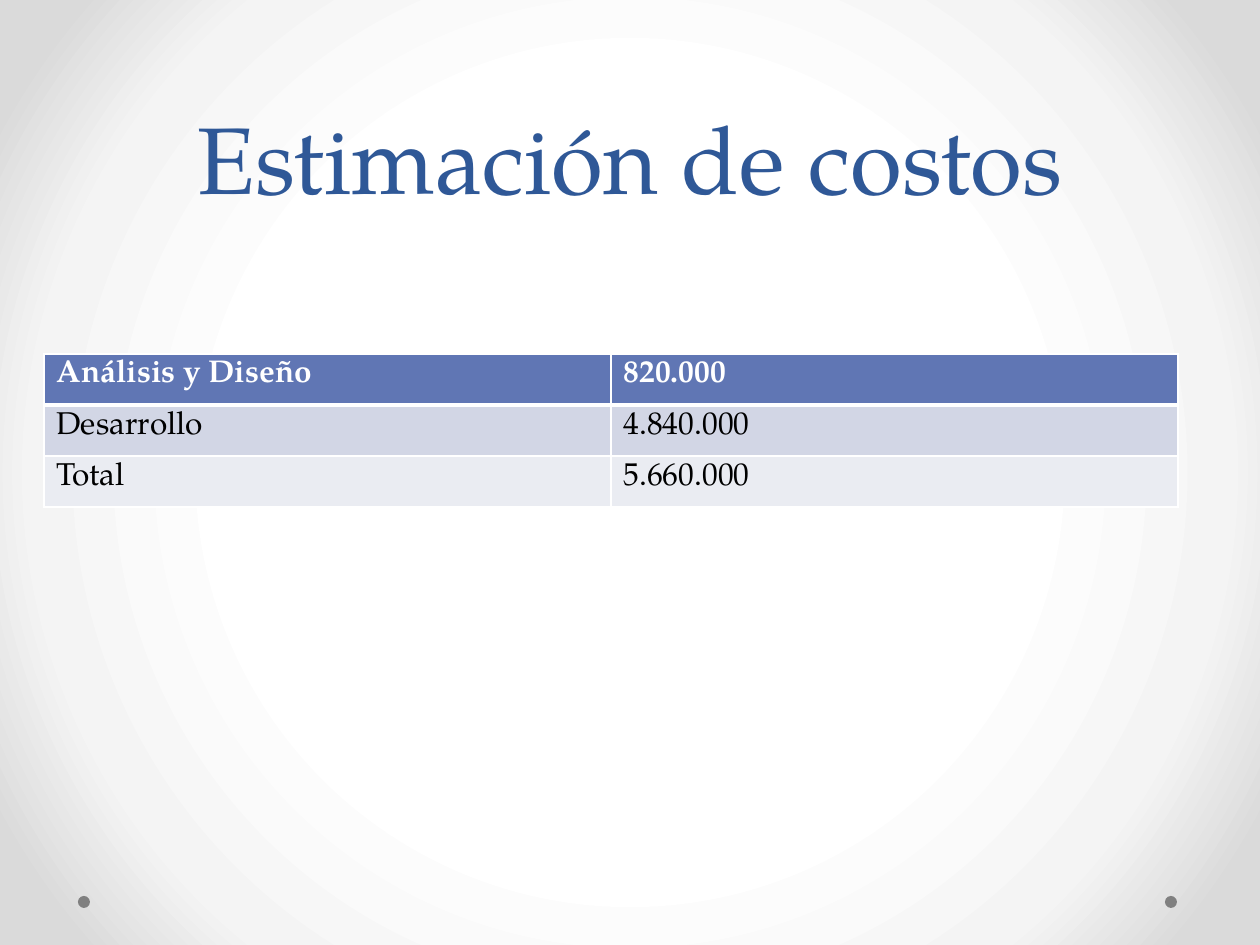
from dataclasses import dataclass

import lxml.etree
import pptx
import pptx.dml.color
import pptx.enum.shapes
import pptx.enum.text
import pptx.oxml.ns
import pptx.util

SCALE = 914400 / 126


@dataclass(frozen=True)
class Theme:
    font: str = "TeX Gyre Pagella"
    title: str = "2F5897"
    dot: str = "808080"
    rule: str = "FFFFFF"
    stops: tuple = ((50, "FFFFFF"), (76, "F4F4F4"), (92, "DADADA"))
    head: int = 54
    lead: int = 58
    body: int = 18


@dataclass(frozen=True)
class Box:
    left: int
    top: int
    width: int
    height: int


@dataclass(frozen=True)
class Row:
    texts: tuple
    fill: str
    ink: str = "000000"
    bold: bool = False
    under: int = 1


THEME = Theme()
SIZE = Box(0, 0, 1260, 945)
TITLE = Box(63, 0, 1134, 220)
GRID = Box(44, 354, 1134, 153)
DOTS = (Box(1165, 896, 12, 12), Box(78, 896, 12, 12))
ROWS = (
    Row(("Análisis y Diseño", "820.000"), "6076B4", "FFFFFF", True, 3),
    Row(("Desarrollo", "4.840.000"), "D2D6E5"),
    Row(("Total", "5.660.000"), "EAECF2"),
)


def emu(px: int) -> int:
    return round(px * SCALE)


def place(box: Box) -> tuple:
    return emu(box.left), emu(box.top), emu(box.width), emu(box.height)


def rgb(code: str) -> pptx.dml.color.RGBColor:
    return pptx.dml.color.RGBColor.from_string(code)


def sub(parent, tag: str, **attrs):
    return lxml.etree.SubElement(parent, pptx.oxml.ns.qn(tag), **attrs)


def write(para, text: str, size: int, ink: str, bold: bool = False) -> None:
    run = para.add_run()
    run.text = text
    run.font.name = THEME.font
    run.font.size = pptx.util.Pt(size)
    run.font.bold = bold
    run.font.color.rgb = rgb(ink)


def paint(slide) -> None:
    slide.background.fill.gradient()
    grad = next(slide.element.iter(pptx.oxml.ns.qn("a:gradFill")))
    for child in list(grad):
        grad.remove(child)
    stops = sub(grad, "a:gsLst")
    for pos, code in THEME.stops:
        stop = sub(stops, "a:gs", pos=str(pos * 1000))
        sub(stop, "a:srgbClr", val=code)
    focus = sub(grad, "a:path", path="circle")
    sub(focus, "a:fillToRect", l="50000", t="50000", r="50000", b="50000")


def add_dot(slide, box: Box) -> None:
    oval = pptx.enum.shapes.MSO_SHAPE.OVAL
    dot = slide.shapes.add_shape(oval, *place(box))
    dot.shadow.inherit = False
    dot.fill.solid()
    dot.fill.fore_color.rgb = rgb(THEME.dot)
    dot.line.fill.background()


def add_title(slide, text: str) -> None:
    title = slide.shapes.title
    title.left, title.top, title.width, title.height = place(TITLE)
    frame = title.text_frame
    frame.auto_size = pptx.enum.text.MSO_AUTO_SIZE.NONE
    frame.word_wrap = True
    frame.vertical_anchor = pptx.enum.text.MSO_ANCHOR.BOTTOM
    para = frame.paragraphs[0]
    para.alignment = pptx.enum.text.PP_ALIGN.CENTER
    para.line_spacing = pptx.util.Pt(THEME.lead)
    write(para, text, THEME.head, THEME.title)


def edge(cell, above: int, under: int) -> None:
    props = cell._tc.get_or_add_tcPr()
    for side, width in zip("LRTB", (1, 1, above, under)):
        line = sub(props, f"a:ln{side}", w=str(pptx.util.Pt(width)))
        sub(sub(line, "a:solidFill"), "a:srgbClr", val=THEME.rule)


def add_grid(slide, rows: tuple) -> None:
    count = len(rows[0].texts)
    frame = slide.shapes.add_table(len(rows), count, *place(GRID))
    above = 1
    for line, row in zip(frame.table.rows, rows):
        for cell, text in zip(line.cells, row.texts):
            edge(cell, above, row.under)
            cell.fill.solid()
            cell.fill.fore_color.rgb = rgb(row.fill)
            para = cell.text_frame.paragraphs[0]
            write(para, text, THEME.body, row.ink, row.bold)
        above = row.under


def main() -> None:
    deck = pptx.Presentation()
    deck.slide_width = emu(SIZE.width)
    deck.slide_height = emu(SIZE.height)
    slide = deck.slides.add_slide(deck.slide_layouts.get_by_name("Title Only"))
    paint(slide)
    for box in DOTS:
        add_dot(slide, box)
    add_title(slide, "Estimación de costos")
    add_grid(slide, ROWS)
    deck.save("out.pptx")


if __name__ == "__main__":
    main()
